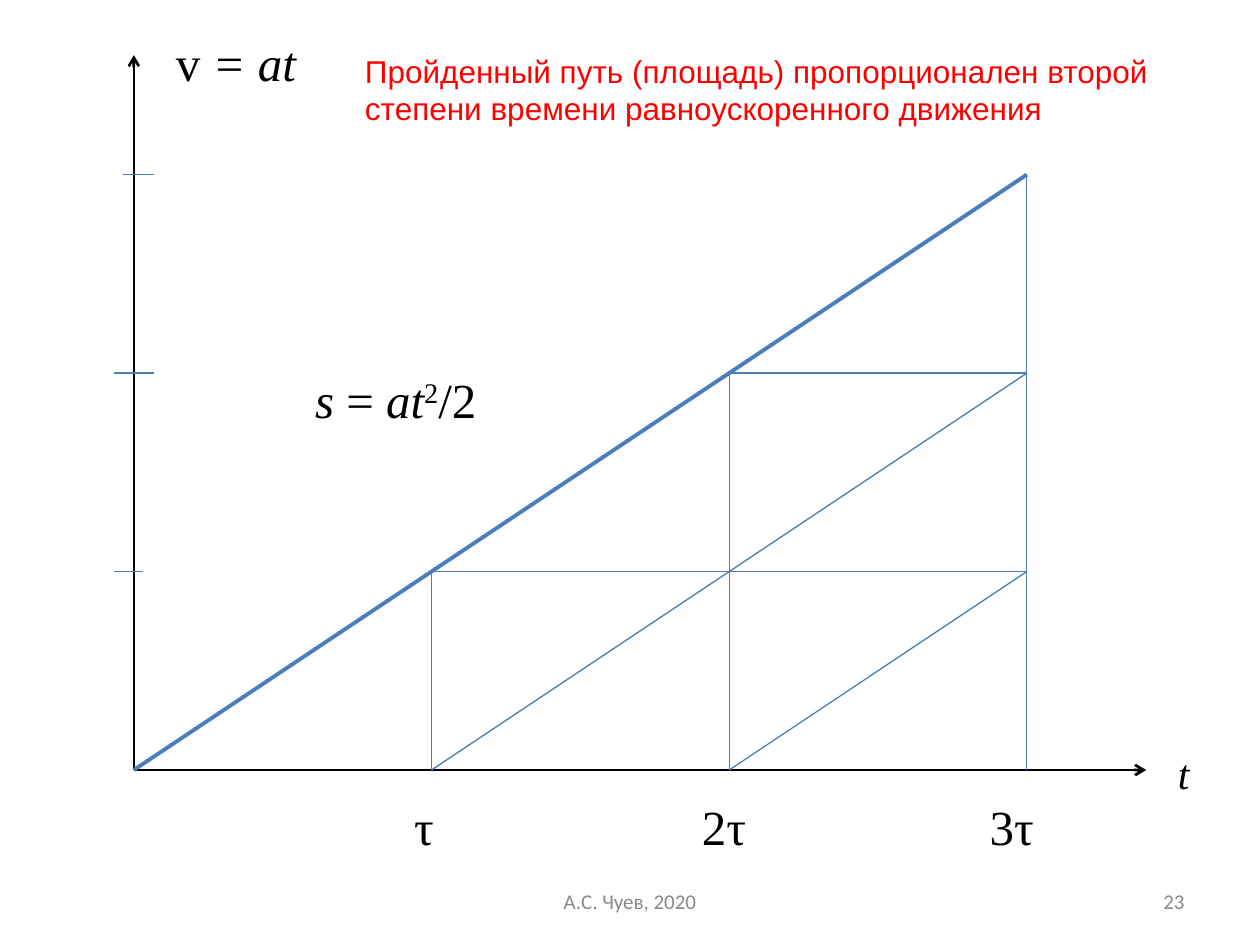
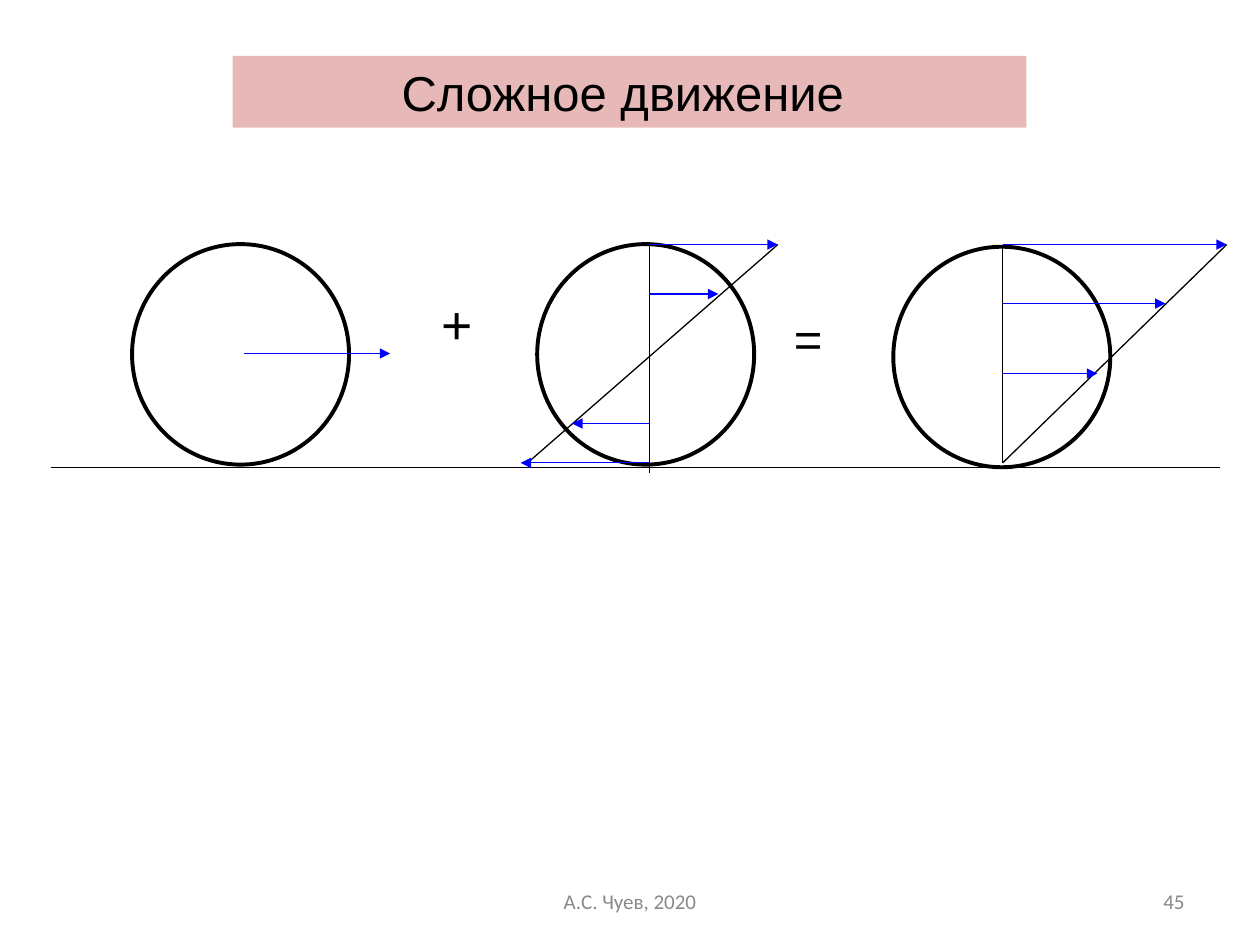
from dataclasses import dataclass
from typing import Optional

from lxml.etree import SubElement
from pptx import Presentation
from pptx.dml.color import RGBColor
from pptx.enum.shapes import MSO_CONNECTOR as Connector, MSO_SHAPE as Preset
from pptx.enum.text import MSO_ANCHOR as Anchor, PP_ALIGN as Align
from pptx.oxml.ns import qn
from pptx.slide import Slide
from pptx.util import Pt

COLORS = {
    "ink": "000000",
    "paper": "FFFFFF",
    "graph": "4A7EBB",
    "velocity": "0000FF",
    "message": "FF0000",
    "band": "E6B9B8",
    "footer": "898989",
}
FORMULA = {"name": "Times New Roman", "size": Pt(28)}
AXIS_NAME = {"name": "Times New Roman", "size": Pt(24)}
MESSAGE = {"name": "Arial", "size": Pt(18)}
TITLE = {"name": "Arial", "size": Pt(28)}
PLUS = {"name": "Arial", "size": Pt(30.6)}
FOOTER = {"name": "Calibri", "size": Pt(12)}


@dataclass
class Run:
    text: str
    italic: bool = False
    superscript: bool = False


@dataclass
class Label:
    left: float
    top: float
    width: float
    height: float
    runs: list[Run]
    font: dict
    color: str = "ink"
    align: Align = Align.LEFT
    anchor: Anchor = Anchor.TOP
    fill: Optional[str] = None
    line_spacing: float = 1.0


@dataclass
class Line:
    start: tuple[float, float]
    end: tuple[float, float]
    color: str = "ink"
    width: float = 0.75
    arrow: Optional[str] = None


@dataclass
class Wheel:
    left: float
    top: float
    width: float = 124
    height: float = 126


def rgb(color: str) -> RGBColor:
    return RGBColor.from_string(COLORS[color])


def draw_label(page: Slide, label: Label) -> None:
    place = [Pt(v) for v in (label.left, label.top, label.width, label.height)]
    if label.fill:
        box = page.shapes.add_shape(Preset.RECTANGLE, *place)
        box.shadow.inherit = False
        box.fill.solid()
        box.fill.fore_color.rgb = rgb(label.fill)
        box.line.fill.background()
    else:
        box = page.shapes.add_textbox(*place)
    frame_format = {
        "word_wrap": True,
        "vertical_anchor": label.anchor,
        "margin_left": Pt(7.2),
        "margin_right": Pt(7.2),
        "margin_top": Pt(3.6),
        "margin_bottom": Pt(3.6),
    }
    for name, value in frame_format.items():
        setattr(box.text_frame, name, value)
    para = box.text_frame.paragraphs[0]
    para.alignment = label.align
    para.line_spacing = label.line_spacing
    for run in label.runs:
        span = para.add_run()
        span.text = run.text
        for name, value in {**label.font, "italic": run.italic}.items():
            setattr(span.font, name, value)
        span.font.color.rgb = rgb(label.color)
        if run.superscript:
            span._r.get_or_add_rPr().set("baseline", "30000")


def draw_line(page: Slide, line: Line) -> None:
    points = [Pt(v) for v in (*line.start, *line.end)]
    connector = page.shapes.add_connector(Connector.STRAIGHT, *points)
    connector.line.color.rgb = rgb(line.color)
    connector.line.width = Pt(line.width)
    if line.arrow:
        SubElement(connector.line._get_or_add_ln(), qn("a:tailEnd"), type=line.arrow)
    SubElement(connector._element.spPr, qn("a:effectLst"))


def draw_wheel(page: Slide, wheel: Wheel) -> None:
    place = [Pt(v) for v in (wheel.left, wheel.top, wheel.width, wheel.height)]
    rim = page.shapes.add_shape(Preset.OVAL, *place)
    rim.shadow.inherit = False
    rim.fill.solid()
    rim.fill.fore_color.rgb = rgb("paper")
    rim.line.color.rgb = rgb("ink")
    rim.line.width = Pt(2.25)


def draw_footer(page: Slide, number: int) -> None:
    middle = {"font": FOOTER, "color": "footer", "anchor": Anchor.MIDDLE}
    draw_label(page, Label(246, 500.5, 228, 28.75, [Run("А.С. Чуев, 2020")],
                           align=Align.CENTER, **middle))
    draw_label(page, Label(516, 500.5, 168, 28.75, [Run(str(number))],
                           align=Align.RIGHT, **middle))


def grid_point(column: int, row: int) -> tuple[float, float]:
    return 76.5 + 170.1 * column, 440 - 113.4 * row


def draw_path_graph(page: Slide) -> None:
    draw_footer(page, 23)
    origin = grid_point(0, 0)
    for tip in ((origin[0], 31.5), (655, origin[1])):
        draw_line(page, Line(origin, tip, width=1.5, arrow="arrow"))
    draw_line(page, Line(origin, grid_point(3, 3), "graph", 2.25))
    for step in (1, 2, 3):
        draw_line(page, Line(grid_point(step, step), grid_point(step, 0), "graph"))
    for step in (1, 2):
        draw_line(page, Line(grid_point(step, step), grid_point(3, step), "graph"))
        draw_line(page, Line(grid_point(step, 0), grid_point(3, 3 - step), "graph"))
    for row, left, right in ((1, 65, 82), (2, 65, 88), (3, 70.5, 88)):
        height = grid_point(0, row)[1]
        draw_line(page, Line((left, height), (right, height), "graph"))

    for text, left, width in (("τ", 229.5, 28.5), ("2τ", 394, 45), ("3τ", 558.5, 45)):
        draw_label(page, Label(left, 451.5, width, 41, [Run(text)], FORMULA))
    speed = [Run("v"), Run(" = at", italic=True)]
    path = [Run("s", italic=True), Run(" = "), Run("at", italic=True),
            Run("2", superscript=True), Run("/2")]
    message = "Пройденный путь (площадь) пропорционален второй степени времени равноускоренного движения"
    for label in (
        Label(93.5, 15, 96.5, 41, speed, FORMULA),
        Label(666, 423.5, 23, 36, [Run("t", italic=True)], AXIS_NAME),
        Label(173, 207.5, 119, 41, path, FORMULA),
        Label(201.5, 26, 499, 50.5, [Run(message)], MESSAGE, "message"),
    ):
        draw_label(page, label)


def draw_compound_motion(page: Slide) -> None:
    draw_label(page, Label(133, 32, 453.5, 41, [Run("Сложное движение ")], TITLE,
                           align=Align.CENTER, fill="band"))
    top, bottom = 139.75, 264.5
    spin_axis, roll_axis = 371, 573
    draw_line(page, Line((29, 267), (697, 267)))
    for wheel in (Wheel(75.5, 139.5), Wheel(307, 139.5), Wheel(510.5, 141)):
        draw_wheel(page, wheel)
    for line in (
        Line((spin_axis, 270), (spin_axis, top)),
        Line((301.5, bottom), (444.5, top)),
        Line((roll_axis, bottom), (roll_axis, top)),
        Line((701, top), (roll_axis, bottom)),
    ):
        draw_line(page, line)
    for start, end, height in (
        (139.5, 223, 202),
        (spin_axis, 444.5, top),
        (spin_axis, 410.5, 168),
        (spin_axis, 327, 242),
        (spin_axis, 297.5, bottom),
        (roll_axis, 701, top),
        (roll_axis, 666, 173.5),
        (roll_axis, 627, 213.5),
    ):
        draw_line(page, Line((start, height), (end, height), "velocity", arrow="triangle"))
    draw_label(page, Label(245, 167, 49, 45.5, [Run("+")], PLUS,
                           fill="paper", line_spacing=0.9))
    draw_label(page, Label(446.5, 173, 49, 51, [Run("=")], TITLE, fill="paper"))
    draw_footer(page, 45)


def main() -> None:
    deck = Presentation()
    deck.slide_width, deck.slide_height = Pt(720), Pt(540)
    for draw in (draw_path_graph, draw_compound_motion):
        draw(deck.slides.add_slide(deck.slide_layouts[6]))
    deck.save("out.pptx")


if __name__ == "__main__":
    main()
